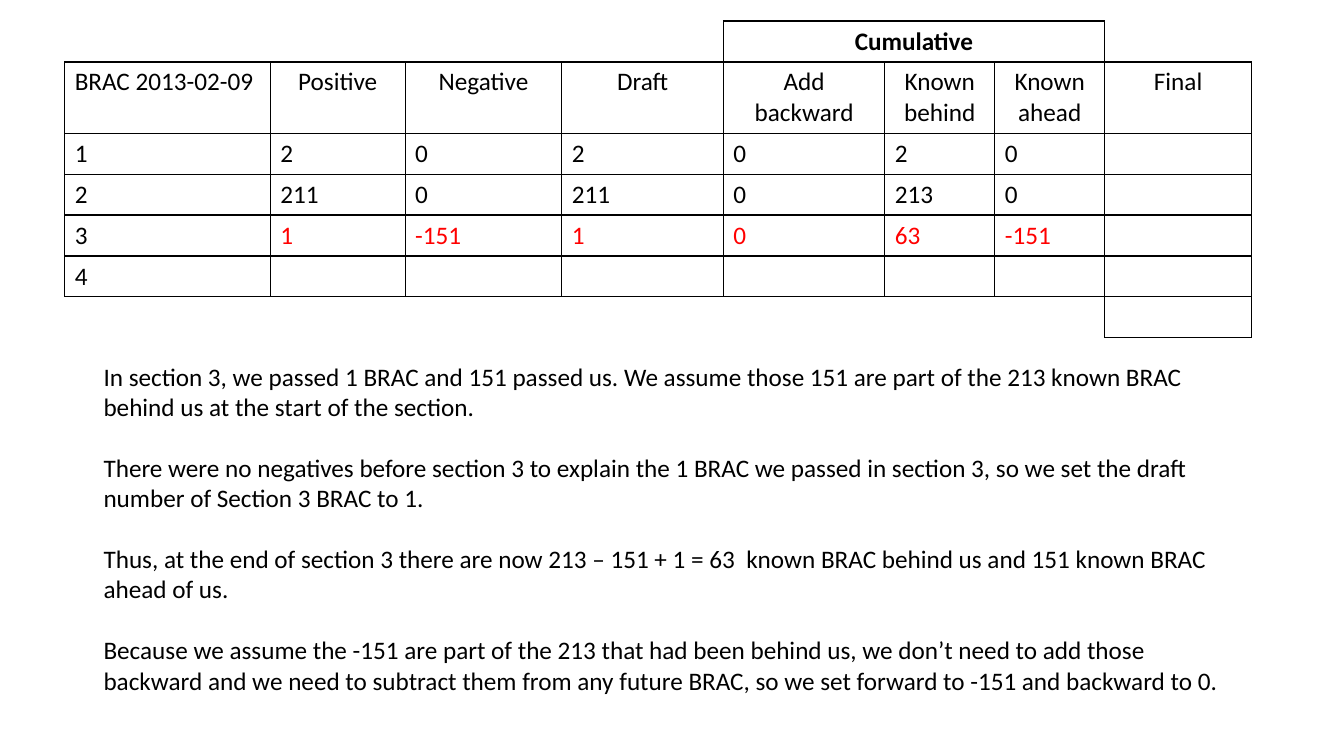
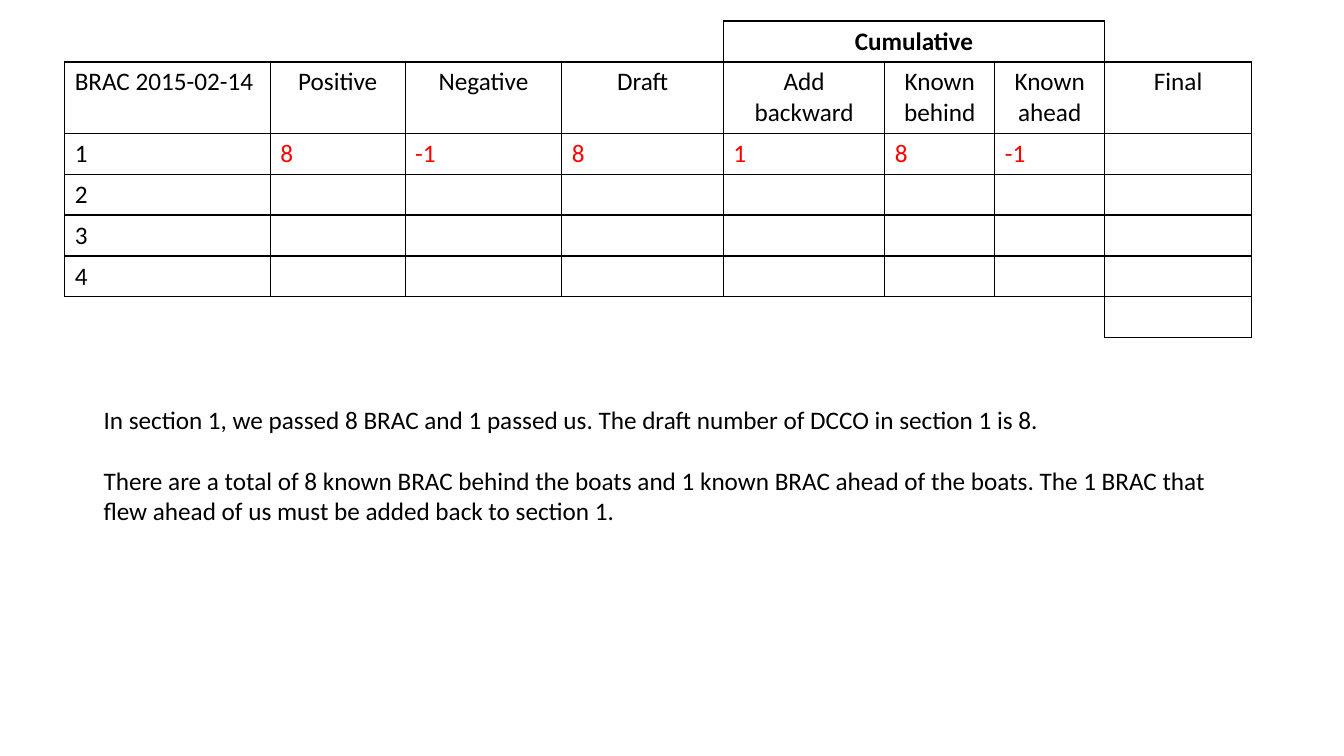
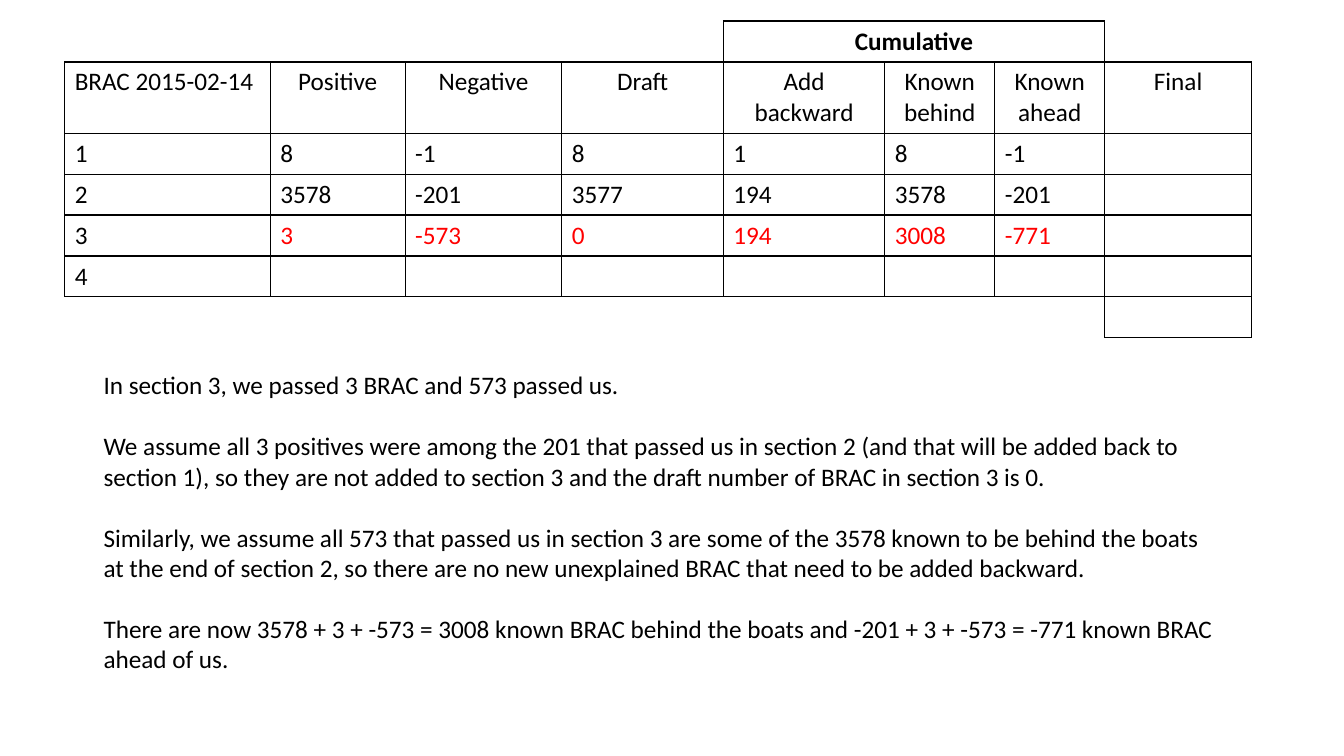
from lxml import etree
from pptx import Presentation
from pptx import util as u
from pptx.dml.color import RGBColor
from pptx.enum import text
from pptx.oxml.ns import qn

BLACK = RGBColor(0x00, 0x00, 0x00)
RED = RGBColor(0xFF, 0x00, 0x00)
BODY = {"name": "Calibri", "size": u.Pt(18), "bold": False}
HEADING = {**BODY, "bold": True}
LINE_WIDTH = u.Pt(1)
PARAGRAPH_GAP = u.Pt(22)

TABLE_BOX = (1.63, 0.53, 29.87, 7.98)
NOTE_LEFT = 2.36
COLUMN_WIDTHS = [5.18, 3.4, 3.95, 4.07, 4.07, 2.77, 2.77, 3.7]
ROW_HEIGHTS = [1.03, 1.8] + [1.03] * 5
HEADERS = ["Positive", "Negative", "Draft", "Add backward",
           "Known behind", "Known ahead", "Final"]
SECTION_COUNT = 4
GROUP_COLUMNS = range(4, 7)
FINAL_COLUMN = 7
LAST_ROW = 6
SIDES = {"lnL": (0, -1), "lnR": (0, 1), "lnT": (-1, 0), "lnB": (1, 0)}

SLIDES = [
    {
        "title": "BRAC 2013-02-09",
        "counts": [[2, 0, 2, 0, 2, 0],
                   [211, 0, 211, 0, 213, 0],
                   [1, -151, 1, 0, 63, -151]],
        "note_box": (NOTE_LEFT, 8.97, 28.98, 8.71),
        "notes": [
            "In section 3, we passed 1 BRAC and 151 passed us. We assume those 151 are part of the 213 known BRAC behind us at the start of the section.",
            "There were no negatives before section 3 to explain the 1 BRAC we passed in section 3, so we set the draft number of Section 3 BRAC to 1.",
            "Thus, at the end of section 3 there are now 213 – 151 + 1 = 63  known BRAC behind us and 151 known BRAC ahead of us.",
            "Because we assume the -151 are part of the 213 that had been behind us, we don’t need to add those backward and we need to subtract them from any future BRAC, so we set forward to -151 and backward to 0.",
        ],
    },
    {
        "title": "BRAC 2015-02-14",
        "counts": [[8, -1, 8, 1, 8, -1]],
        "note_box": (NOTE_LEFT, 10.06, 28.55, 3.33),
        "notes": [
            "In section 1, we passed 8 BRAC and 1 passed us. The draft number of DCCO in section 1 is 8.",
            "There are a total of 8 known BRAC behind the boats and 1 known BRAC ahead of the boats. The 1 BRAC that flew ahead of us must be added back to section 1.",
        ],
    },
    {
        "title": "BRAC 2015-02-14",
        "counts": [[8, -1, 8, 1, 8, -1],
                   [3578, -201, 3577, 194, 3578, -201],
                   [3, -573, 0, 194, 3008, -771]],
        "note_box": (NOTE_LEFT, 9.19, 28.55, 7.95),
        "notes": [
            "In section 3, we passed 3 BRAC and 573 passed us.",
            "We assume all 3 positives were among the 201 that passed us in section 2 (and that will be added back to section 1), so they are not added to section 3 and the draft number of BRAC in section 3 is 0.",
            "Similarly, we assume all 573 that passed us in section 3 are some of the 3578 known to be behind the boats at the end of section 2, so there are no new unexplained BRAC that need to be added backward.",
            "There are now 3578 + 3 + -573 = 3008 known BRAC behind the boats and -201 + 3 + -573 = -771 known BRAC ahead of us.",
        ],
    },
]


def write(paragraph, words, style=BODY, color=BLACK, alignment=text.PP_ALIGN.LEFT):
    run = paragraph.add_run()
    run.text = words
    paragraph.alignment = alignment
    for attribute, value in style.items():
        setattr(run.font, attribute, value)
    run.font.color.rgb = color


def is_boxed(row, column):
    if row == 0:
        return column in GROUP_COLUMNS
    if row == LAST_ROW:
        return column == FINAL_COLUMN
    return 0 < row < LAST_ROW and 0 <= column <= FINAL_COLUMN


def set_borders(cell, row, column):
    properties = cell._tc.get_or_add_tcPr()
    for tag, (down, across) in SIDES.items():
        line = etree.SubElement(properties, qn("a:" + tag), w=str(LINE_WIDTH))
        if is_boxed(row, column) or is_boxed(row + down, column + across):
            fill = etree.SubElement(line, qn("a:solidFill"))
            etree.SubElement(fill, qn("a:srgbClr"), val=str(BLACK))
        else:
            etree.SubElement(line, qn("a:noFill"))


def add_count_table(slide, box, title, counts):
    frame = slide.shapes.add_table(len(ROW_HEIGHTS), len(COLUMN_WIDTHS), *map(u.Cm, box))
    table = frame.table
    table.first_row = table.horz_banding = False
    for column, width in zip(table.columns, COLUMN_WIDTHS):
        column.width = u.Cm(width)
    for row, height in zip(table.rows, ROW_HEIGHTS):
        row.height = u.Cm(height)
    for row in range(len(ROW_HEIGHTS)):
        for column in range(len(COLUMN_WIDTHS)):
            cell = table.cell(row, column)
            set_borders(cell, row, column)
            cell.fill.background()

    def fill_cell(row, column, words, **options):
        write(table.cell(row, column).text_frame.paragraphs[0], str(words), **options)

    table.cell(0, GROUP_COLUMNS[0]).merge(table.cell(0, GROUP_COLUMNS[-1]))
    fill_cell(0, GROUP_COLUMNS[0], "Cumulative", style=HEADING,
              alignment=text.PP_ALIGN.CENTER)
    fill_cell(1, 0, title)
    for column, header in enumerate(HEADERS, 1):
        fill_cell(1, column, header, alignment=text.PP_ALIGN.CENTER)
    for section in range(1, SECTION_COUNT + 1):
        fill_cell(section + 1, 0, section)
    for section, values in enumerate(counts, 1):
        color = RED if section == len(counts) else BLACK
        for column, value in enumerate(values, 1):
            fill_cell(section + 1, column, value, color=color)


def add_notes_text(slide, box, notes):
    frame = slide.shapes.add_textbox(*map(u.Cm, box)).text_frame
    frame.word_wrap = True
    frame.auto_size = text.MSO_AUTO_SIZE.SHAPE_TO_FIT_TEXT
    for index, note in enumerate(notes):
        paragraph = frame.add_paragraph() if index else frame.paragraphs[0]
        if index:
            paragraph.space_before = PARAGRAPH_GAP
        write(paragraph, note)


def main():
    presentation = Presentation()
    presentation.slide_width = u.Cm(33.87)
    presentation.slide_height = u.Cm(19.05)
    for content in SLIDES:
        slide = presentation.slides.add_slide(presentation.slide_layouts[6])
        add_notes_text(slide, content["note_box"], content["notes"])
        add_count_table(slide, TABLE_BOX, content["title"], content["counts"])
    presentation.save("out.pptx")


if __name__ == "__main__":
    main()
